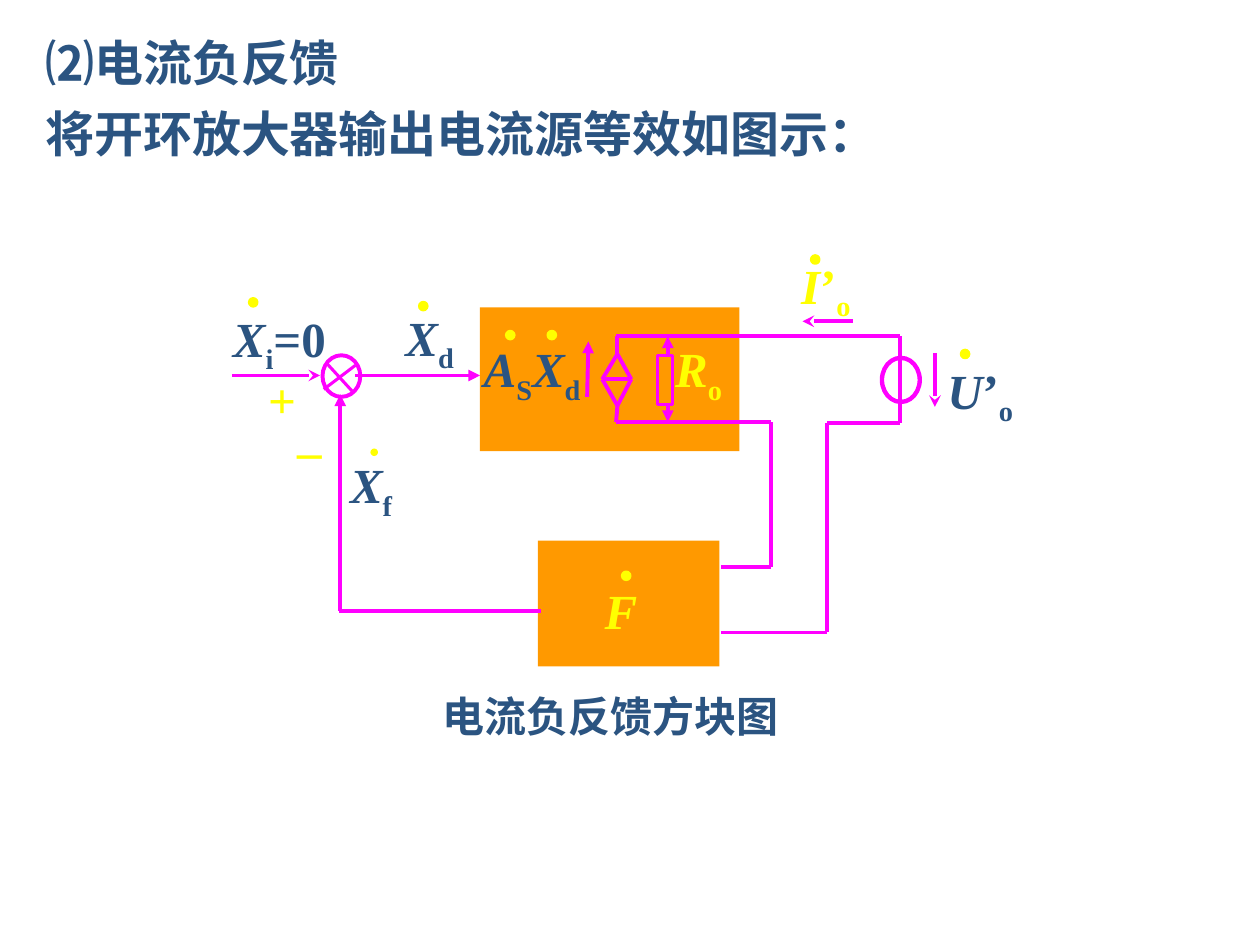
from itertools import pairwise

from lxml import etree
from pptx import Presentation
from pptx import util as u
from pptx.dml.color import RGBColor
from pptx.enum import shapes, text
from pptx.oxml import ns

NAVY = RGBColor(0x2B, 0x54, 0x81)
YELLOW = RGBColor(0xFF, 0xFF, 0x00)
MAGENTA = RGBColor(0xFF, 0x00, 0xFF)
ORANGE = RGBColor(0xFF, 0x99, 0x00)
SERIF = "Times New Roman"
RECT = shapes.MSO_SHAPE.RECTANGLE
OVAL = shapes.MSO_SHAPE.OVAL
PLAIN, ITALIC, SUB = "plain", "italic", "sub"


def place(box, x, y):
    """Return slide lengths for a point measured from the box corner."""
    return u.Inches(box[0] + x), u.Inches(box[1] + y)


def add_run(p, wording, font, size, color, style=PLAIN):
    """Add one bold run in the given style."""
    r = p.add_run()
    r.text = wording
    r.font.name, r.font.size, r.font.bold = font, u.Pt(size), True
    r.font.italic = style == ITALIC
    r.font.color.rgb = color
    if style == SUB:
        r._r.get_or_add_rPr().set("baseline", "-25000")


def add_label(s, box, x, y, w, h, color, *runs, size=28, align=text.PP_ALIGN.JUSTIFY):
    """Add a text box made of (wording, style) runs."""
    tf = s.shapes.add_textbox(*place(box, x, y), u.Inches(w), u.Inches(h)).text_frame
    tf.word_wrap = True
    p = tf.paragraphs[0]
    p.alignment = align
    for wording, style in runs:
        add_run(p, wording, SERIF, size, color, style)


def add_form(s, box, kind, x, y, w, h, fill=None, line=None, width=2.25):
    """Add a preset shape with an optional fill and outline."""
    sp = s.shapes.add_shape(kind, *place(box, x, y), u.Inches(w), u.Inches(h))
    sp.shadow.inherit = False
    if fill is None:
        sp.fill.background()
    else:
        sp.fill.solid()
        sp.fill.fore_color.rgb = fill
    if line is None:
        sp.line.fill.background()
    else:
        sp.line.color.rgb = line
        sp.line.width = u.Pt(width)


def add_dot(s, box, x, y, line=YELLOW):
    """Add the phasor dot above a symbol."""
    add_form(s, box, OVAL, x, y, 0.06, 0.06, YELLOW, line, 1.75)


def add_wire(s, box, *points, head=None, tail=None, width=2.25):
    """Join the points with straight connectors."""
    for start, end in pairwise(points):
        sp = s.shapes.add_connector(
            shapes.MSO_CONNECTOR.STRAIGHT, *place(box, *start), *place(box, *end))
        sp.line.color.rgb = MAGENTA
        sp.line.width = u.Pt(width)
        ln = sp.line._get_or_add_ln()
        for tag, arrow in (("a:headEnd", head), ("a:tailEnd", tail)):
            if arrow:
                etree.SubElement(ln, ns.qn(tag)).set("type", arrow)
        etree.SubElement(sp._element.spPr, ns.qn("a:effectLst"))


def add_heading(s, box, lines):
    """Fill the body placeholder with unbulleted heading lines."""
    sp = s.placeholders[1]
    sp.left, sp.top, sp.width, sp.height = (u.Inches(v) for v in box)
    tf = sp.text_frame
    tf.word_wrap = True
    for i, wording in enumerate(lines):
        p = tf.add_paragraph() if i else tf.paragraphs[0]
        pPr = p._p.get_or_add_pPr()
        pPr.set("marL", "0")
        pPr.set("indent", "0")
        etree.SubElement(pPr, ns.qn("a:buNone"))
        p.alignment = text.PP_ALIGN.JUSTIFY
        p.space_before = u.Pt(7 if i else 0)
        add_run(p, wording, "Karla", 28, NAVY)


def add_summing_node(s, box):
    """Draw the input, the summing node and its signals."""
    add_wire(s, box, (0.34, 1.48), (1.04, 1.48), tail="stealth")
    add_wire(s, box, (1.32, 1.48), (2.31, 1.48), tail="triangle")
    add_form(s, box, OVAL, 1.06, 1.32, 0.3, 0.33, line=MAGENTA)
    add_wire(s, box, (1.09, 1.38), (1.3, 1.61), width=1.75)
    add_wire(s, box, (1.32, 1.4), (1.07, 1.59), width=1.75)
    add_label(s, box, 0.25, 0.9, 1.12, 0.75, NAVY, ("X", ITALIC), ("i", SUB), ("=0", PLAIN))
    add_dot(s, box, 0.48, 0.87)
    add_label(s, box, 1.62, 0.89, 0.63, 0.75, NAVY, ("X", ITALIC), ("d", SUB))
    add_dot(s, box, 1.83, 0.9)
    add_label(s, box, 0.53, 1.38, 0.97, 0.89, YELLOW, ("+", PLAIN))
    add_label(s, box, 0.76, 1.65, 0.95, 0.77, YELLOW, ("_", PLAIN))


def add_amplifier(s, box):
    """Draw the open-loop amplifier with its current source and resistor."""
    add_form(s, box, RECT, 2.31, 0.94, 2.06, 1.14, ORANGE)
    top, right, bottom, left = (3.4, 1.31), (3.51, 1.51), (3.4, 1.72), (3.28, 1.51)
    add_wire(s, box, top, right, bottom, left, top)
    add_wire(s, box, left, right)
    add_wire(s, box, (3.4, 1.17), top)
    add_wire(s, box, bottom, (3.39, 1.85))
    add_wire(s, box, (3.16, 1.65), (3.17, 1.21), tail="triangle")
    add_label(s, box, 2.24, 1.14, 1.47, 0.75, NAVY,
              ("A", ITALIC), ("S", SUB), ("X", ITALIC), ("d", SUB))
    for x in (2.52, 2.85):
        add_dot(s, box, x, 1.13)
    add_label(s, box, 3.76, 1.14, 0.81, 0.76, YELLOW, ("R", ITALIC), ("o", SUB))
    add_wire(s, box, (3.8, 1.17), (3.8, 1.85), head="triangle", tail="triangle")
    add_form(s, box, RECT, 3.72, 1.32, 0.12, 0.39, ORANGE, MAGENTA, 1.75)


def add_output(s, box):
    """Draw the output loop with its voltage source."""
    add_wire(s, box, (3.39, 1.17), (5.64, 1.17), (5.64, 1.86), (5.06, 1.86),
             (5.06, 3.52), (4.22, 3.52))
    add_form(s, box, OVAL, 5.5, 1.34, 0.3, 0.35, line=MAGENTA, width=2.5)
    add_wire(s, box, (5.27, 1.05), (4.87, 1.05), tail="stealth")
    add_label(s, box, 4.76, 0.48, 0.78, 0.75, YELLOW, ("I", ITALIC), ("’", PLAIN), ("o", SUB))
    add_dot(s, box, 4.94, 0.53)
    add_wire(s, box, (5.92, 1.3), (5.92, 1.73), tail="stealth")
    add_label(s, box, 5.92, 1.31, 1.15, 0.75, NAVY, ("U", ITALIC), ("’", PLAIN), ("o", SUB))
    add_dot(s, box, 6.13, 1.28)


def add_feedback(s, box):
    """Draw the feedback block, its wires and the caption."""
    add_wire(s, box, (3.39, 1.85), (4.62, 1.85), (4.62, 3), (4.22, 3))
    add_form(s, box, RECT, 2.77, 2.79, 1.44, 1, ORANGE)
    add_label(s, box, 3.2, 3.06, 0.63, 0.75, YELLOW, ("F", ITALIC))
    add_dot(s, box, 3.44, 3.04)
    add_wire(s, box, (1.2, 1.63), (1.2, 3.35), head="triangle")
    add_wire(s, box, (1.19, 3.35), (2.79, 3.35))
    add_label(s, box, 1.18, 2.06, 0.71, 0.75, NAVY, ("X", ITALIC), ("f", SUB))
    add_dot(s, box, 1.44, 2.06, line=None)
    add_label(s, box, 0.86, 3.93, 4.97, 0.65, NAVY, ("电流负反馈方块图", PLAIN),
              size=24, align=text.PP_ALIGN.CENTER)


def main():
    """Build the slide and save it."""
    prs = Presentation()
    prs.slide_width, prs.slide_height = u.Inches(10), u.Inches(7.5)
    s = prs.slides.add_slide(prs.slide_layouts[1])
    title = s.shapes.title._element
    title.getparent().remove(title)
    add_heading(s, (0.26, 0.21, 9.07, 1.28),
                ("⑵电流负反馈", "将开环放大器输出电流源等效如图示："))
    diagram = (1.5, 1.5)
    for add_region in (add_summing_node, add_amplifier, add_output, add_feedback):
        add_region(s, diagram)
    prs.save("out.pptx")


if __name__ == "__main__":
    main()
